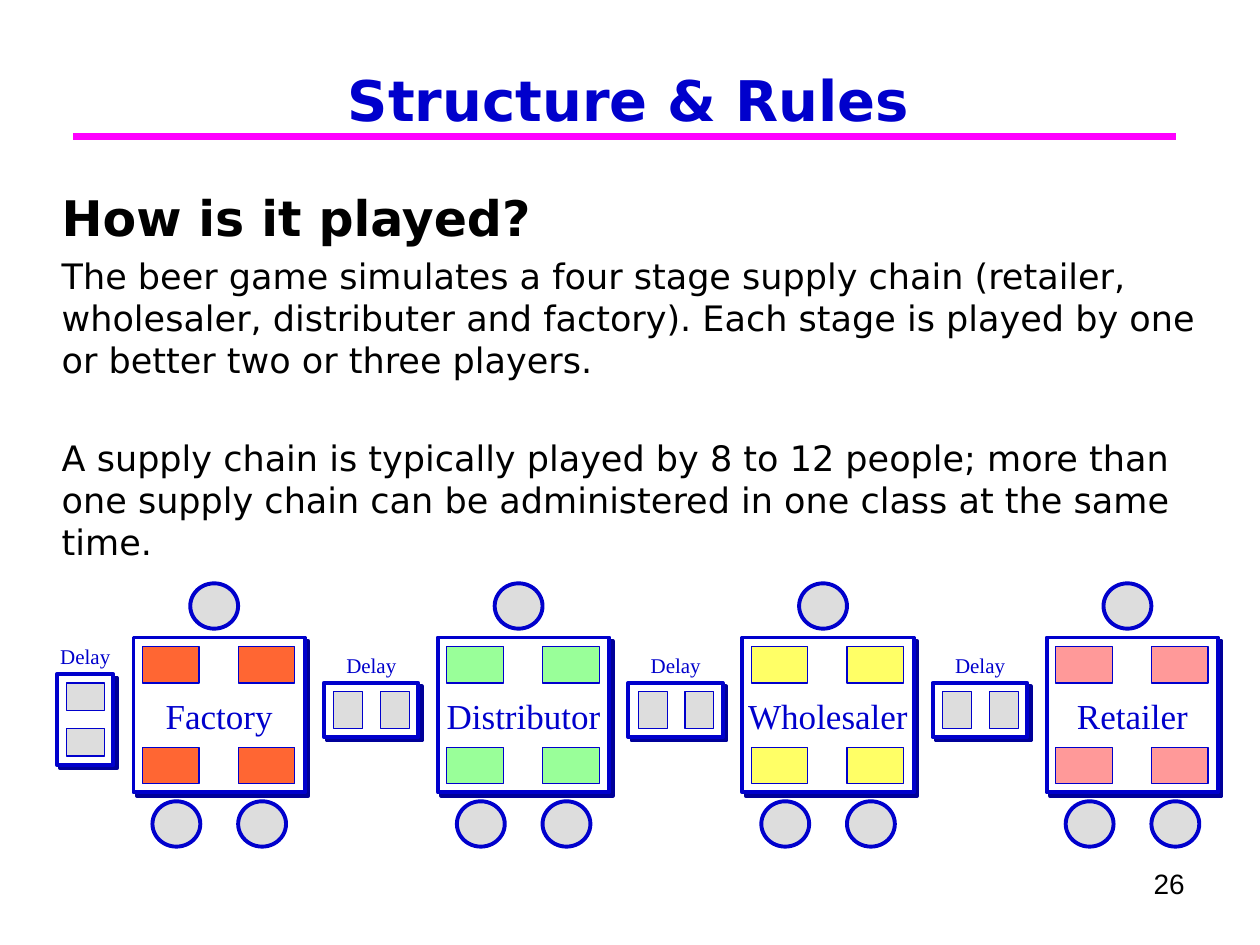
"""Build the Structure & Rules slide with its four-stage supply chain diagram."""
from itertools import product

from lxml import etree
from pptx import Presentation
from pptx import util as u
from pptx.dml.color import RGBColor
from pptx.enum import shapes, text
from pptx.oxml import ns

BLUE = RGBColor(0x00, 0x00, 0xCC)
MAGENTA = RGBColor(0xFF, 0x00, 0xFF)
BLACK = RGBColor(0x00, 0x00, 0x00)
WHITE = RGBColor(0xFF, 0xFF, 0xFF)
GRAY = RGBColor(0xDD, 0xDD, 0xDD)
ORANGE = RGBColor(0xFF, 0x66, 0x33)
GREEN = RGBColor(0x99, 0xFF, 0x99)
YELLOW = RGBColor(0xFF, 0xFF, 0x66)
PINK = RGBColor(0xFF, 0x99, 0x99)
SHADOW_COLOR = "000099"
RECTANGLE = shapes.MSO_SHAPE.RECTANGLE
OVAL = shapes.MSO_SHAPE.OVAL

presentation = Presentation()
presentation.slide_width, presentation.slide_height = u.Inches(10), u.Inches(7.5)
slide = presentation.slides.add_slide(presentation.slide_layouts[6])


def add_box(kind, left, top, width, height, fill, line_width, shadow=False):
    shape = slide.shapes.add_shape(kind, *map(u.Inches, (left, top, width, height)))
    shape.shadow.inherit = False
    shape.fill.solid()
    shape.fill.fore_color.rgb = fill
    shape.line.color.rgb = BLUE
    shape.line.width = u.Pt(line_width)
    if shadow:
        effects = shape._element.spPr.find(ns.qn("a:effectLst"))
        outer = etree.SubElement(effects, ns.qn("a:outerShdw"), dist=str(u.Pt(2.8)),
                                 dir="2700000", algn="ctr", rotWithShape="0")
        etree.SubElement(outer, ns.qn("a:srgbClr"), val=SHADOW_COLOR)
    return shape


def write(shape, words, font_name, size, color, align, bold=False, wrap=True):
    frame = shape.text_frame
    frame.text = words
    frame.word_wrap = wrap
    for paragraph in frame.paragraphs:
        paragraph.alignment = align
        font = paragraph.runs[0].font
        font.name, font.size, font.bold = font_name, u.Pt(size), bold
        font.color.rgb = color
    return frame


rule = slide.shapes.add_connector(shapes.MSO_CONNECTOR.STRAIGHT, u.Inches(0.58),
                                  u.Inches(1.08), u.Inches(9.33), u.Inches(1.08))
rule.line.color.rgb = MAGENTA
rule.line.width = u.Pt(4)
etree.SubElement(rule._element.spPr, ns.qn("a:effectLst"))

title = slide.shapes.add_textbox(*map(u.Inches, (0.49, 0.17, 9, 0.93)))
write(title, "Structure & Rules", "DejaVu Sans", 32, BLUE, text.PP_ALIGN.CENTER, bold=True)
title.text_frame.vertical_anchor = text.MSO_ANCHOR.BOTTOM

BODY = [
    "How is it played?",
    "The beer game simulates a four stage supply chain (retailer, wholesaler, distributer "
    "and factory). Each stage is played by one or better two or three players.",
    "A supply chain is typically played by 8 to 12 people; more than one supply chain "
    "can be administered in one class at the same time.",
]
body = slide.shapes.add_textbox(*map(u.Inches, (0.49, 1.49, 9.06, 3.03)))
frame = write(body, "\n".join(BODY), "DejaVu Sans", 20, BLACK, text.PP_ALIGN.LEFT)
frame.margin_left = frame.margin_top = frame.margin_right = frame.margin_bottom = 0
heading, first, second = frame.paragraphs
heading.runs[0].font.size = u.Pt(28)
heading.runs[0].font.bold = True
first.space_before = u.Pt(4.5)
second.space_before = u.Pt(32)

STAGES = [("Factory", ORANGE), ("Distributor", GREEN),
          ("Wholesaler", YELLOW), ("Retailer", PINK)]
LEFT, TOP, PITCH = 1.06, 5.06, 2.416
SEATS = [(0.45, -0.43), (0.15, 1.3), (0.83, 1.3)]

for column, (name, color) in enumerate(STAGES):
    left = LEFT + column * PITCH
    table = add_box(RECTANGLE, left, TOP, 1.36, 1.23, WHITE, 2.25, shadow=True)
    write(table, name, "Times New Roman", 20, BLUE, text.PP_ALIGN.CENTER, wrap=False)
    for across, down in product((0.07, 0.83), (0.07, 0.87)):
        add_box(RECTANGLE, left + across, TOP + down, 0.45, 0.29, color, 0.75)
    for across, down in SEATS:
        add_box(OVAL, left + across, TOP + down, 0.38, 0.36, GRAY, 2.25)

DELAYS = [(0.45, 5.35, 0.45, 0.72, 0.3, 0.22, 0, 0.36, 0.38, 5.06)]
for column in range(3):
    left = LEFT + 1.51 + column * PITCH
    DELAYS.append((left, 5.42, 0.75, 0.43, 0.23, 0.29, 0.37, 0, left + 0.08, 5.13))

for left, top, width, height, cell_width, cell_height, across, down, label_left, label_top in DELAYS:
    add_box(RECTANGLE, left, top, width, height, WHITE, 2.25, shadow=True)
    for index in range(2):
        add_box(RECTANGLE, left + 0.08 + index * across, top + 0.07 + index * down,
                cell_width, cell_height, GRAY, 0.75)
    label = slide.shapes.add_textbox(*map(u.Inches, (label_left, label_top, 0.6, 0.27)))
    write(label, "Delay", "Times New Roman", 12, BLUE, text.PP_ALIGN.LEFT, wrap=False)

number = slide.shapes.add_textbox(*map(u.Inches, (7.17, 6.83, 2.33, 0.52)))
write(number, "26", "Arial", 16, BLACK, text.PP_ALIGN.RIGHT)

presentation.save("out.pptx")
